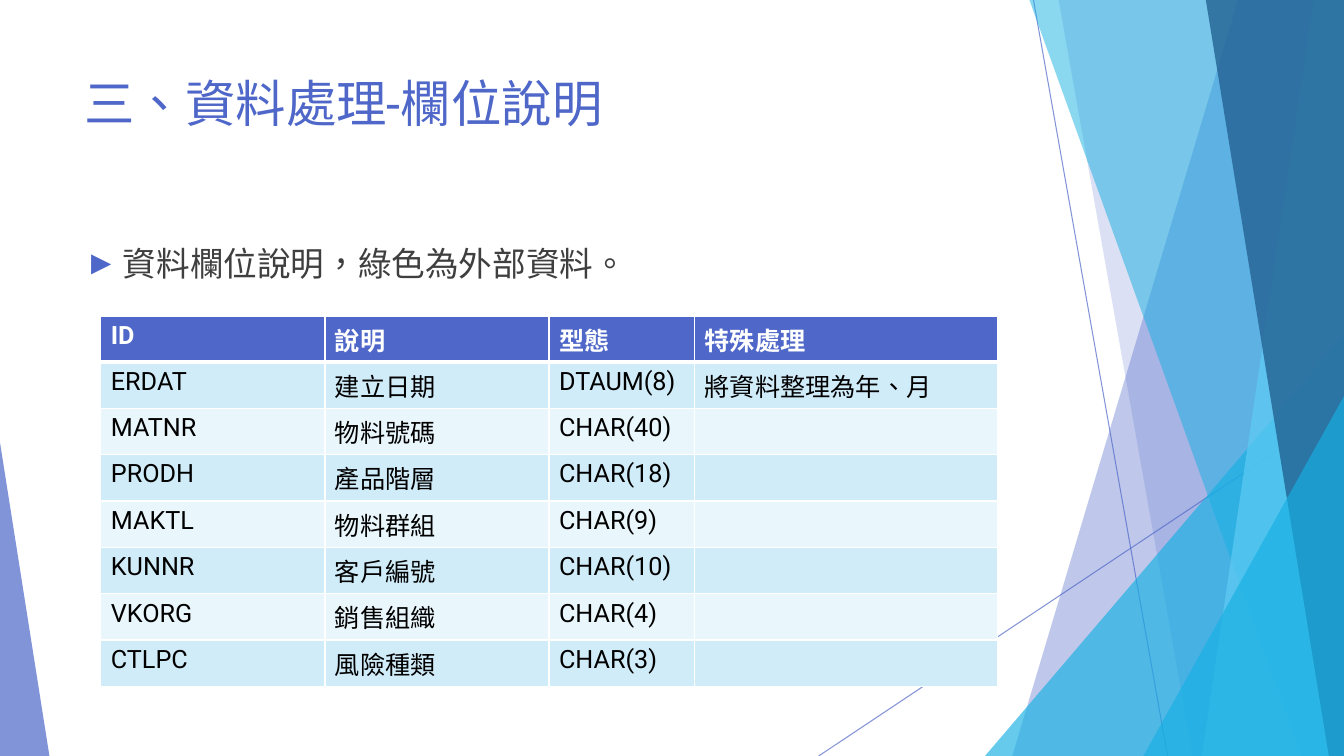
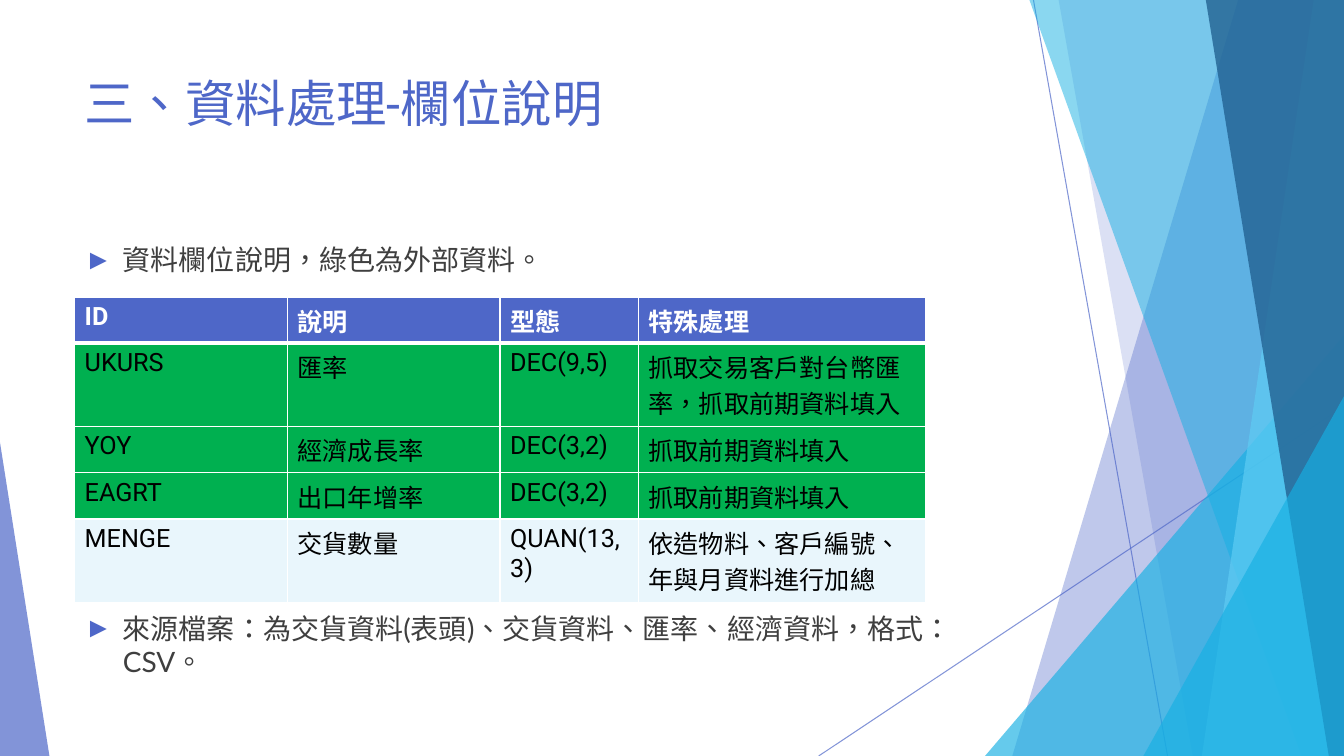
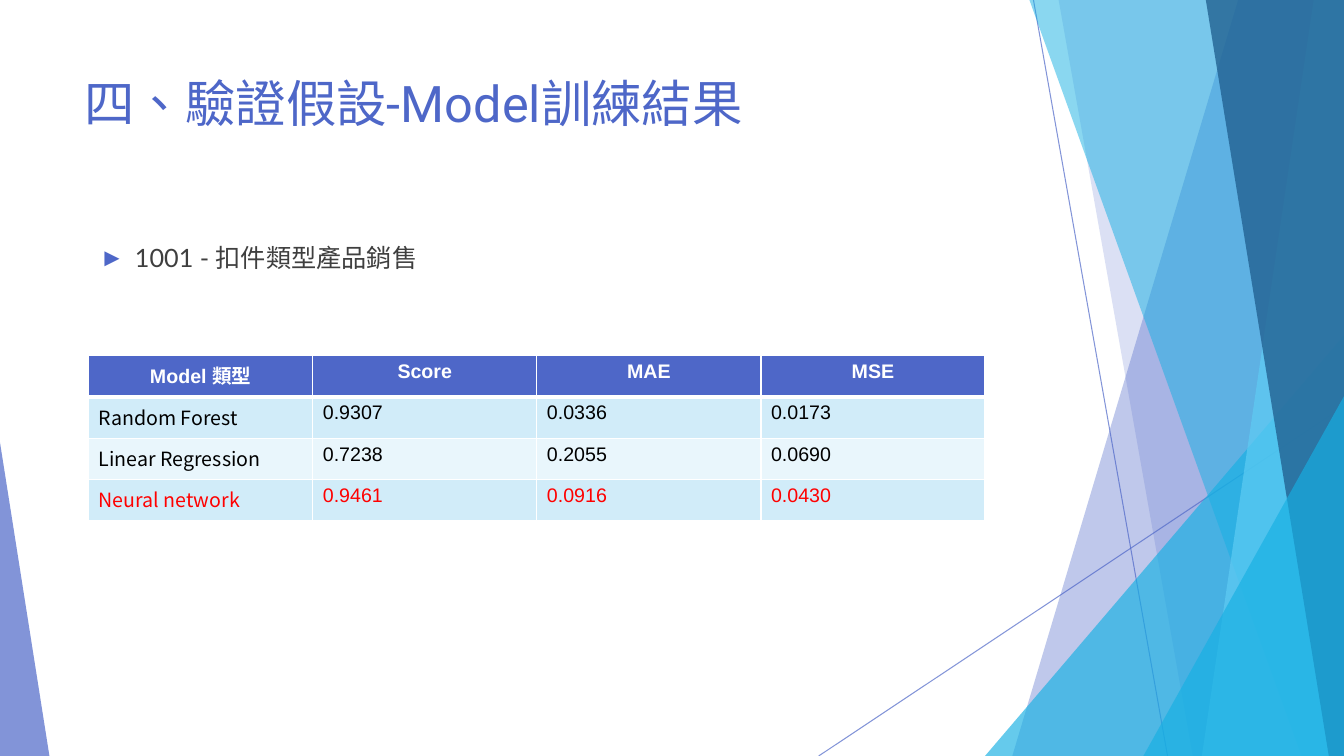
from lxml import etree
from pptx import Presentation
from pptx.dml.color import RGBColor
from pptx.enum.shapes import MSO_CONNECTOR, MSO_SHAPE
from pptx.enum.text import PP_ALIGN
from pptx.oxml.ns import qn
from pptx.util import Inches, Pt

LINE = MSO_CONNECTOR.STRAIGHT
TRIANGLE = MSO_SHAPE.ISOSCELES_TRIANGLE
CENTER = PP_ALIGN.CENTER

W, H = 13.33, 7.5
BLUE, CYAN, SKY, NAVY = "4E67C8", "16B0E3", "5ECCF3", "226292"
WHITE, BLACK, GREY, RED, GREEN = "FFFFFF", "000000", "3F3F3F", "FF0000", "00B050"
STRIPES = ("E9F6FC", "D1ECF9")
HEADING, BODY, FIGURES, LABELS = "Roboto", "Lato", "Arial", "Noto Sans CJK SC"

TITLE_BOX = (0.74, 0.67, 9.4, 1.44)
BODY_BOX = (0.74, 2.36, 9.4, 4.24)
HEAD_ROW, FIELD_ROW, TALL_ROW, RESULT_ROW = 0.45, 0.46, 0.83, 0.41
FIELD_COLS = (0.25, 0.25, 0.1625, 0.3375)
FIELD_HEAD = ("ID", "說明", "型態", "特殊處理")


def rgb(color):
    """Turn a hex string into a colour."""
    return RGBColor.from_string(color)


def sub(parent, tag, **attrs):
    """Append a child element with the given attributes."""
    child = etree.SubElement(parent, qn(tag))
    for name, value in attrs.items():
        child.set(name, str(value))
    return child


def set_alpha(shape, percent):
    """Make the colour of a shape or line partly transparent."""
    color = next(shape.element.spPr.iter(qn("a:srgbClr")))
    sub(color, "a:alpha", val=percent * 1000)


def paint(shape, color, percent):
    """Give a shape a translucent fill, no line and no shadow."""
    shape.shadow.inherit = False
    shape.fill.solid()
    shape.fill.fore_color.rgb = rgb(color)
    shape.line.fill.background()
    set_alpha(shape, percent)


def thin_line(s, x1, y1, x2, y2):
    """Draw a translucent hairline."""
    line = s.shapes.add_connector(LINE, *map(Inches, (x1, y1, x2, y2)))
    line.line.color.rgb = rgb(BLUE)
    line.line.width = Pt(0.75)
    set_alpha(line, 70)
    sub(line.element.spPr, "a:effectLst")


def band(s, top_x, bottom_x, color, percent):
    """Fill from a slanted left edge to the right side of the slide."""
    corners = [(top_x, 0), (W, 0), (W, H), (bottom_x, H)]
    points = [(Inches(x), Inches(y)) for x, y in corners]
    builder = s.shapes.build_freeform(*points[0])
    builder.add_line_segments(points[1:], close=True)
    paint(builder.convert_to_shape(), color, percent)


def wedge(s, x, width, height, apex, color, percent):
    """Stand a right-angled triangle on the bottom of the slide."""
    shape = s.shapes.add_shape(
        TRIANGLE, *map(Inches, (x, H - height, width, height)))
    shape.adjustments[0] = apex
    paint(shape, color, percent)


def facets(s):
    """Draw the backdrop shared by all slides."""
    thin_line(s, 10.25, 0, 11.58, H)
    thin_line(s, W, 4.03, 8.12, H)
    band(s, 12.28, 10.04, BLUE, 36)
    band(s, 10.5, 11.83, BLUE, 20)
    wedge(s, 9.77, 3.56, 4.17, 1, CYAN, 66)
    band(s, 10.21, 12.91, CYAN, 50)
    band(s, 13.03, 11.92, SKY, 70)
    band(s, 11.96, 13.18, NAVY, 80)
    wedge(s, 11.34, 1.99, 3.57, 1, CYAN, 66)
    wedge(s, 0, 0.49, 3.11, 0, BLUE, 70)


def write(p, text, size, font, color, bold=False):
    """Add Traditional Chinese text to a paragraph in one style."""
    r = p.add_run()
    r.text = text
    r.font.size = Pt(size)
    r.font.name = font
    r.font.bold = bold
    r.font.color.rgb = rgb(color)
    r._r.get_or_add_rPr().set("lang", "zh-TW")


def text_frame(s, box):
    """Add a wrapping text box and return its frame."""
    tf = s.shapes.add_textbox(*map(Inches, box)).text_frame
    tf.word_wrap = True
    return tf


def bullet(p, margin, hang):
    """Give a paragraph a hanging arrow bullet."""
    pPr = p._p.get_or_add_pPr()
    pPr.set("marL", str(Inches(margin)))
    pPr.set("indent", str(-Inches(hang)))
    sub(sub(pPr, "a:buClr"), "a:srgbClr", val=BLUE)
    sub(pPr, "a:buFont", typeface="Arial")
    sub(pPr, "a:buChar", char="►")


def bullets(s, box, items, size, margin=0.38, hang=0.38):
    """List (text, font, space before) items in a box."""
    tf = text_frame(s, box)
    for i, (text, font, before) in enumerate(items):
        p = tf.add_paragraph() if i else tf.paragraphs[0]
        p.space_before = Pt(before)
        bullet(p, margin, hang)
        write(p, text, size, font, GREY)


def style_cell(cell, fill, bottom):
    """Set the white borders and the fill of a cell."""
    tcPr = cell._tc.get_or_add_tcPr()
    for side, width in (("L", 1), ("R", 1), ("T", 1), ("B", bottom)):
        ln = sub(tcPr, f"a:ln{side}", w=Pt(width))
        sub(sub(ln, "a:solidFill"), "a:srgbClr", val=WHITE)
    cell.fill.solid()
    cell.fill.fore_color.rgb = rgb(fill)


def table(s, box, shares, heights, rows, size, font, label_font=None,
          head_align=None, fills=None, colors=None):
    """Build a striped table; fills and colors override single rows."""
    x, y, width = box
    fills, colors = fills or {}, colors or {}
    grid = s.shapes.add_table(
        len(rows), len(shares),
        *map(Inches, (x, y, width, sum(heights)))).table
    for column, share in zip(grid.columns, shares):
        column.width = Inches(width * share)
    for i, row in enumerate(rows):
        grid.rows[i].height = Inches(heights[i])
        head = i == 0
        fill = BLUE if head else fills.get(i, STRIPES[i % 2])
        color = WHITE if head else colors.get(i, BLACK)
        for j in range(len(shares)):
            cell = grid.cell(i, j)
            style_cell(cell, fill, 3 if head else 1)
            if j >= len(row):
                continue
            p = cell.text_frame.paragraphs[0]
            if head:
                p.alignment = head_align
            is_label = label_font and j == 0 and not head
            write(p, row[j], size, label_font if is_label else font, color, head)


def new_slide(prs, title):
    """Add a slide with the backdrop and a title."""
    s = prs.slides.add_slide(prs.slide_layouts[6])
    facets(s)
    p = text_frame(s, TITLE_BOX).paragraphs[0]
    write(p, title, 36, HEADING, BLUE)
    return s


def internal_fields(prs):
    """Slide listing the company's own data fields."""
    s = new_slide(prs, "三、資料處理-欄位說明")
    bullets(s, BODY_BOX, [("資料欄位說明，綠色為外部資料。", HEADING, 0)], 24)
    rows = [
        FIELD_HEAD,
        ("ERDAT", "建立日期", "DTAUM(8)", "將資料整理為年、月"),
        ("MATNR", "物料號碼", "CHAR(40)"),
        ("PRODH", "產品階層", "CHAR(18)"),
        ("MAKTL", "物料群組", "CHAR(9)"),
        ("KUNNR", "客戶編號", "CHAR(10)"),
        ("VKORG", "銷售組織", "CHAR(4)"),
        ("CTLPC", "風險種類", "CHAR(3)"),
    ]
    heights = [HEAD_ROW] + [FIELD_ROW] * 7
    table(s, (1, 3.14, 8.89), FIELD_COLS, heights, rows, 18, HEADING)


def external_fields(prs):
    """Slide listing the external fields and the source files."""
    s = new_slide(prs, "三、資料處理-欄位說明")
    bullets(s, BODY_BOX, [
        ("資料欄位說明，綠色為外部資料。", HEADING, 0),
        ("來源檔案：為交貨資料(表頭)、交貨資料、匯率、經濟資料，格式：CSV。",
         BODY, 239),
    ], 20)
    rows = [
        FIELD_HEAD,
        ("UKURS", "匯率", "DEC(9,5)", "抓取交易客戶對台幣匯率，抓取前期資料填入"),
        ("YOY", "經濟成長率", "DEC(3,2)", "抓取前期資料填入"),
        ("EAGRT", "出口年增率", "DEC(3,2)", "抓取前期資料填入"),
        ("MENGE", "交貨數量", "QUAN(13,3)", "依造物料、客戶編號、年與月資料進行加總"),
    ]
    heights = [HEAD_ROW, TALL_ROW, FIELD_ROW, FIELD_ROW, TALL_ROW]
    table(s, (0.74, 2.95, 8.44), FIELD_COLS, heights, rows, 18, HEADING,
          fills=dict.fromkeys((1, 2, 3), GREEN))


def model_results(prs):
    """Slide comparing the trained models."""
    s = new_slide(prs, "四、驗證假設-Model訓練結果")
    bullets(s, BODY_BOX, [("1001 - 扣件類型產品銷售", BODY, 0)], 18, 0.5, 0.35)
    rows = [
        ("Model 類型", "Score", "MAE", "MSE"),
        ("Random Forest", "0.9307", "0.0336", "0.0173"),
        ("Linear Regression", "0.7238", "0.2055", "0.0690"),
        ("Neural network", "0.9461", "0.0916", "0.0430"),
    ]
    table(s, (0.88, 3.53, 8.89), [0.25] * 4, [RESULT_ROW] * 4, rows, 14,
          FIGURES, label_font=LABELS, head_align=CENTER, colors={3: RED})


def main():
    """Build and save the presentation."""
    prs = Presentation()
    prs.slide_width, prs.slide_height = Inches(W), Inches(H)
    internal_fields(prs)
    external_fields(prs)
    model_results(prs)
    prs.save("out.pptx")


main()
